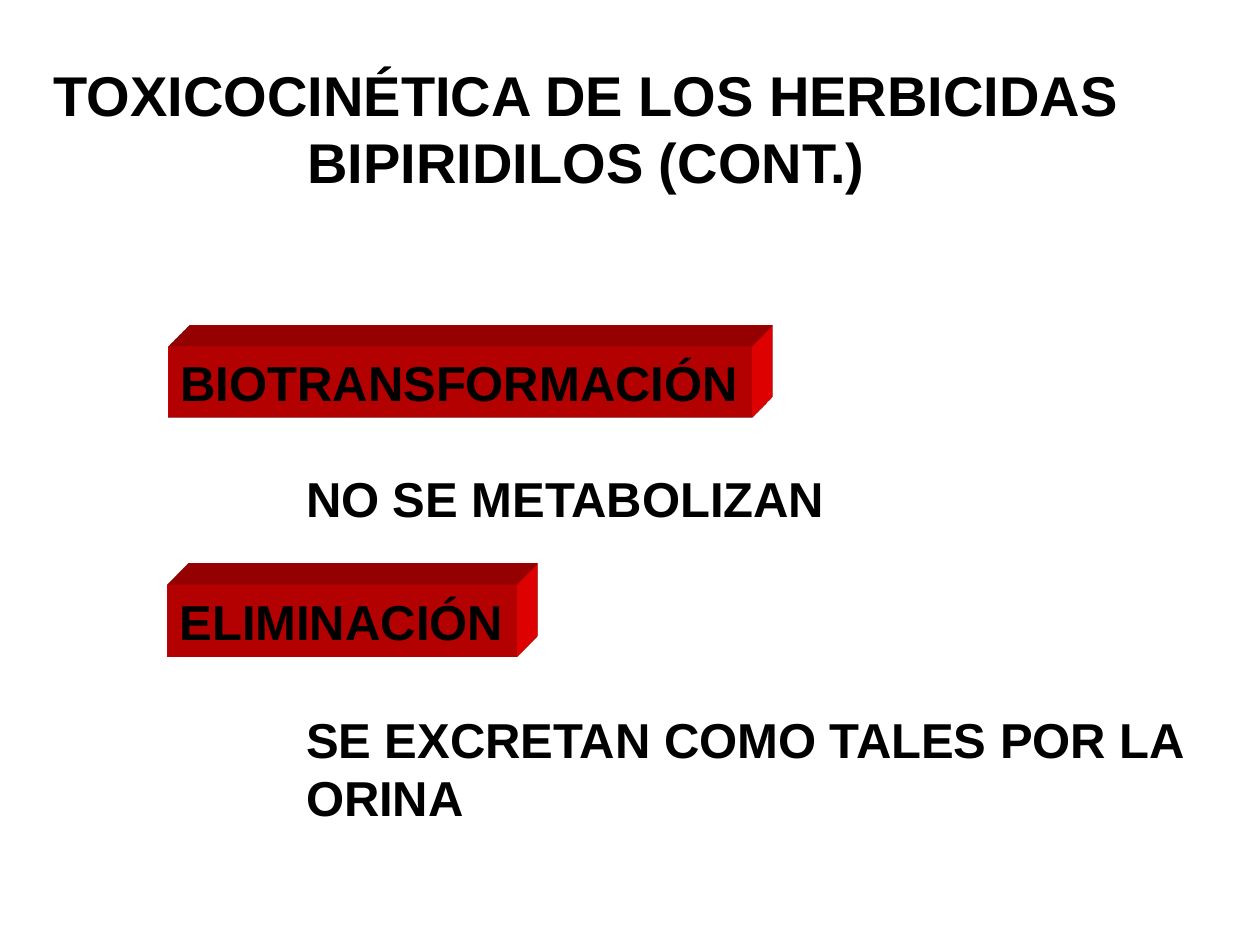
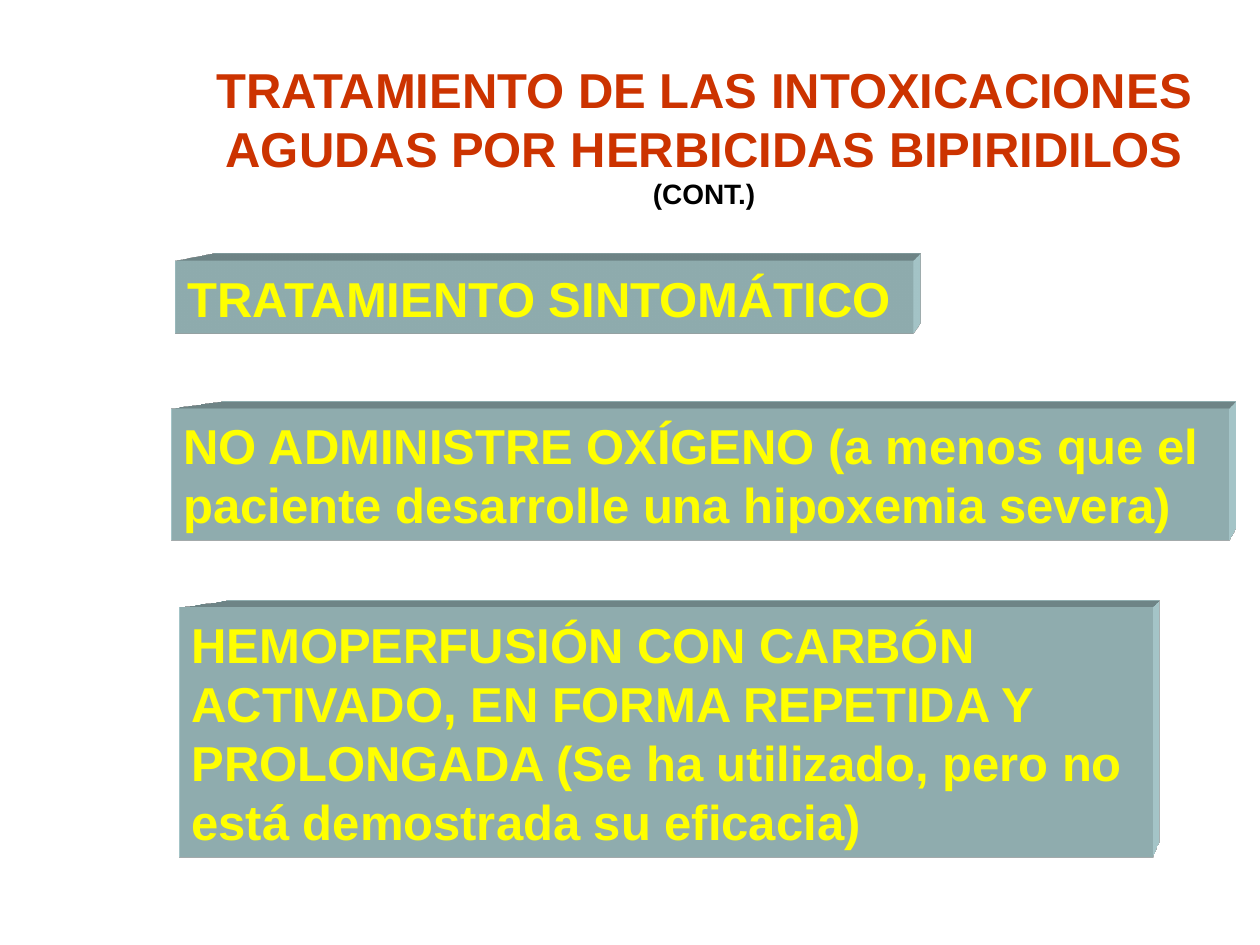
from lxml import etree
from pptx import Presentation
from pptx.dml.color import RGBColor
from pptx.enum import shapes, text
from pptx.oxml import ns
from pptx.util import Cm, Pt

BLACK = RGBColor(0, 0, 0)
RUST = RGBColor(0xCC, 0x33, 0x00)
YELLOW = RGBColor(0xFF, 0xFF, 0x00)
RED = RGBColor(0xFF, 0, 0)
AQUA = RGBColor(0xBB, 0xE0, 0xE3)
FONT = "Arial"
LINE_CM = 0.0425   # height of a text line, per point of size
INSET_CM = 0.25    # top and bottom insets together

# Content: lines, left, top, width (cm), then format
KINETICS = [
    (["TOXICOCINÉTICA DE LOS HERBICIDAS", "BIPIRIDILOS (CONT.)"],
     0.81, 1.09, 22.02, dict(size=32, center=True)),
    (["BIOTRANSFORMACIÓN"], 3.39, 6.99, 11.76,
     dict(fill=RED, camera="legacyObliqueTopRight")),
    (["NO SE METABOLIZAN"], 5.92, 9.32, 11.05, {}),
    (["ELIMINACIÓN"], 3.37, 11.79, 7.04,
     dict(fill=RED, camera="legacyObliqueTopRight")),
    (["SE EXCRETAN COMO TALES POR LA", "ORINA"], 5.92, 14.17, 18.39, {}),
]
STEP = dict(color=YELLOW, fill=AQUA, camera="legacyPerspectiveTopRight")
TREATMENT = [
    (["TRATAMIENTO DE LAS INTOXICACIONES",
      "AGUDAS POR HERBICIDAS BIPIRIDILOS", ("(CONT.)", 16, BLACK)],
     4.01, 1.07, 20.37, dict(color=RUST, center=True)),
    (["HEMOPERFUSIÓN CON CARBÓN", "ACTIVADO, EN FORMA REPETIDA Y",
      "PROLONGADA (Se ha utilizado, pero no", "está demostrada su eficacia)"],
     3.61, 12.27, 19.61, STEP),
    (["TRATAMIENTO SINTOMÁTICO"], 3.53, 5.28, 14.88, STEP),
    (["NO ADMINISTRE OXÍGENO (a menos que el",
      "paciente desarrolle una hipoxemia severa)"], 3.45, 8.26, 21.31, STEP),
]


def extrude(sp, color, camera):
    """Give a box depth, seen from the top right."""
    uri = ns.nsdecls("a")
    for xml in (
        f'<a:scene3d {uri}><a:camera prst="{camera}"/>'
        '<a:lightRig rig="legacyFlat3" dir="b"/></a:scene3d>',
        f'<a:sp3d {uri} extrusionH="430200" prstMaterial="legacyMatte">'
        '<a:bevelT w="13500" h="13500" prst="angle"/>'
        '<a:bevelB w="13500" h="13500" prst="angle"/>'
        f'<a:extrusionClr><a:srgbClr val="{color}"/></a:extrusionClr></a:sp3d>',
    ):
        sp._element.spPr.append(etree.fromstring(xml))


def add_text(s, lines, left, top, width, size=28, color=BLACK,
             center=False, fill=None, camera=None):
    """Add bold lines as a text box, or as an extruded box when filled."""
    lines = [ln if isinstance(ln, tuple) else (ln, size, color) for ln in lines]
    height = INSET_CM + LINE_CM * sum(pts for _, pts, _ in lines)
    frame = Cm(left), Cm(top), Cm(width), Cm(height)
    if fill is None:
        sp = s.shapes.add_textbox(*frame)
    else:
        sp = s.shapes.add_shape(shapes.MSO_SHAPE.RECTANGLE, *frame)
        sp.fill.solid()
        sp.fill.fore_color.rgb = fill
        sp.line.fill.background()
        sp.shadow.inherit = False
        extrude(sp, fill, camera)
    tf = sp.text_frame
    tf.word_wrap = False
    tf.auto_size = text.MSO_AUTO_SIZE.SHAPE_TO_FIT_TEXT
    tf.vertical_anchor = text.MSO_ANCHOR.TOP
    for i, (words, pts, rgb) in enumerate(lines):
        p = tf.add_paragraph() if i else tf.paragraphs[0]
        p.alignment = text.PP_ALIGN.CENTER if center else text.PP_ALIGN.LEFT
        r = p.add_run()
        r.text = words
        r.font.name = FONT
        r.font.size = Pt(pts)
        r.font.bold = True
        r.font.color.rgb = rgb


prs = Presentation()
prs.slide_width, prs.slide_height = Cm(25.4), Cm(19.05)
for content in (KINETICS, TREATMENT):
    s = prs.slides.add_slide(prs.slide_layouts[6])
    for lines, left, top, width, style in content:
        add_text(s, lines, left, top, width, **style)
prs.save("out.pptx")
